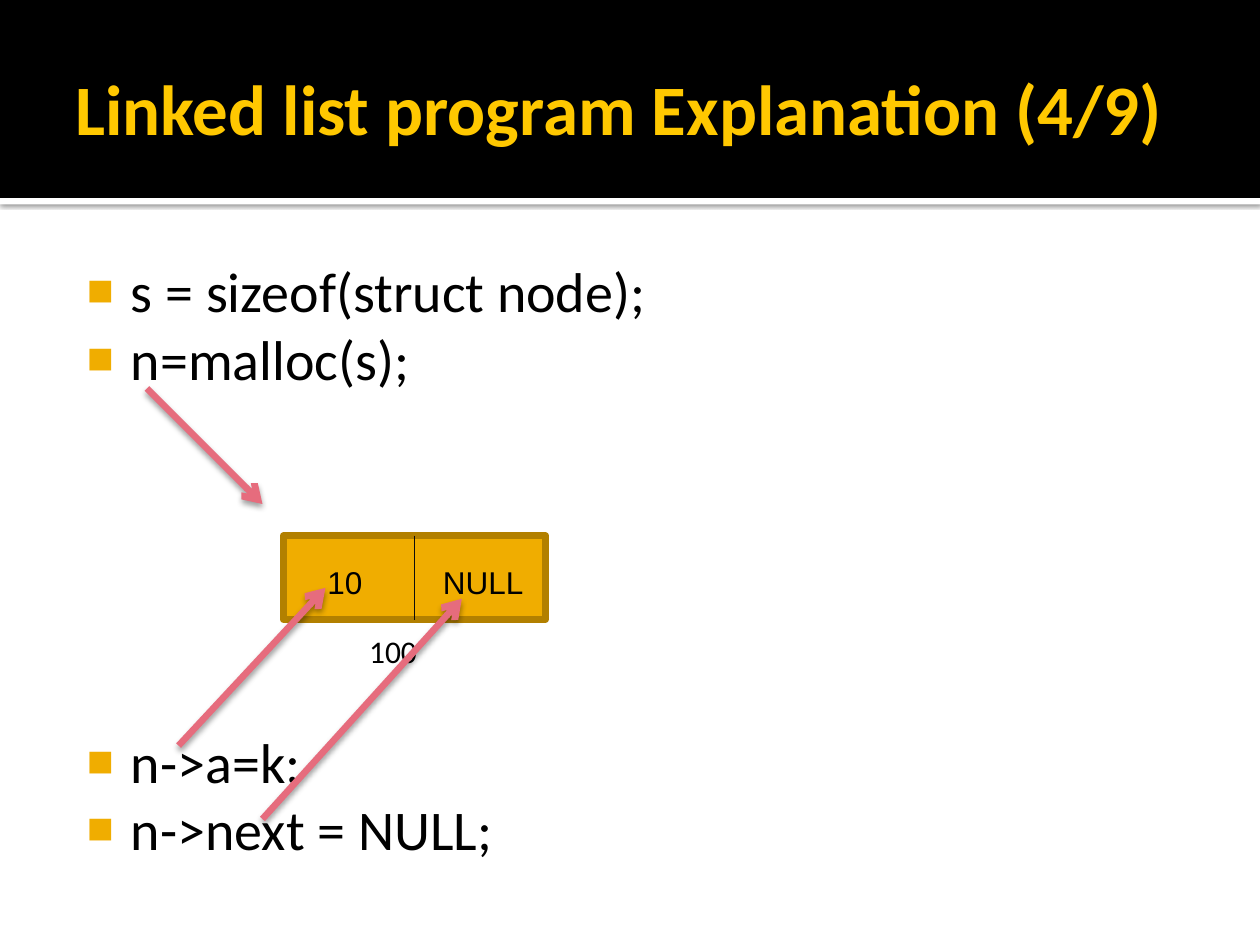
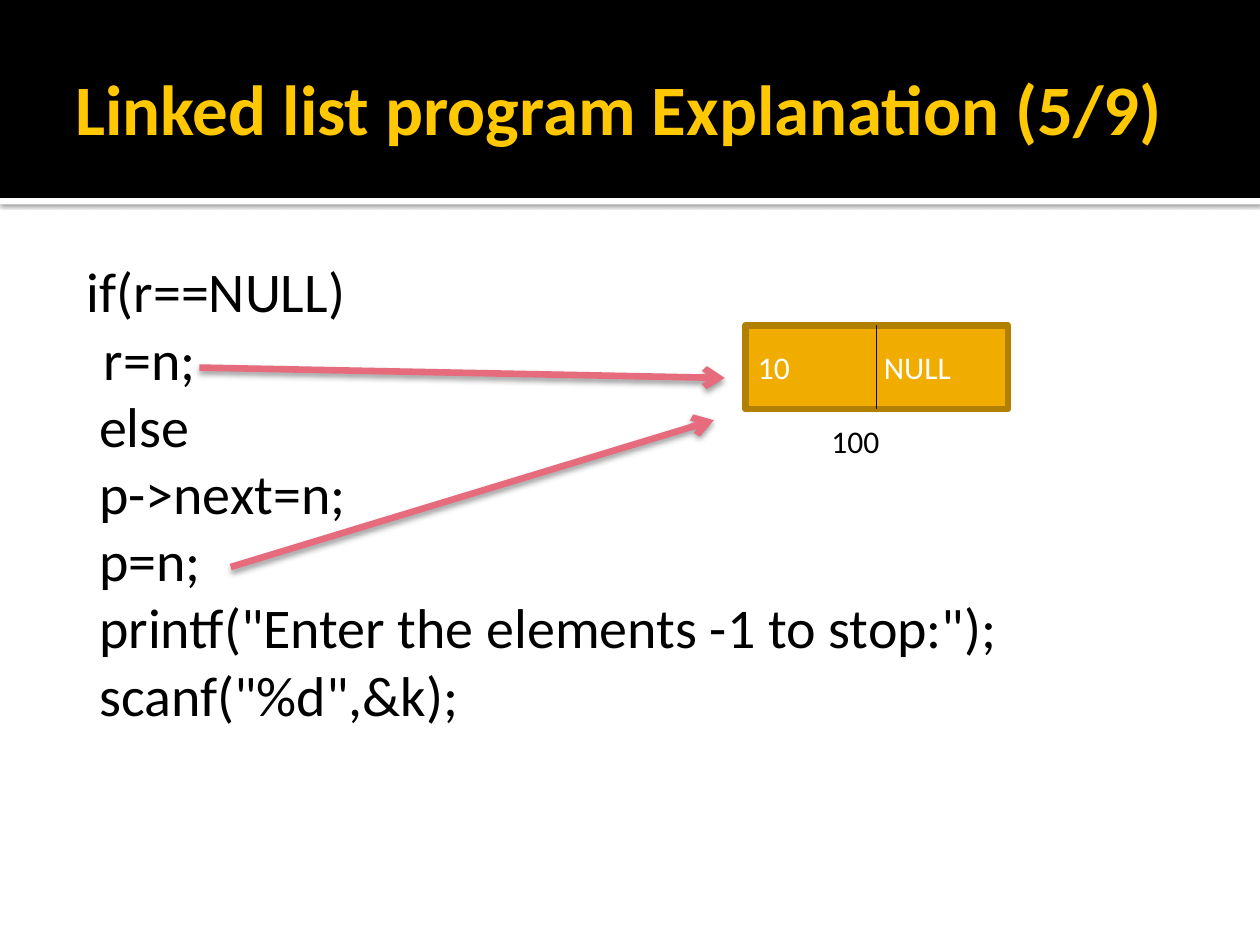
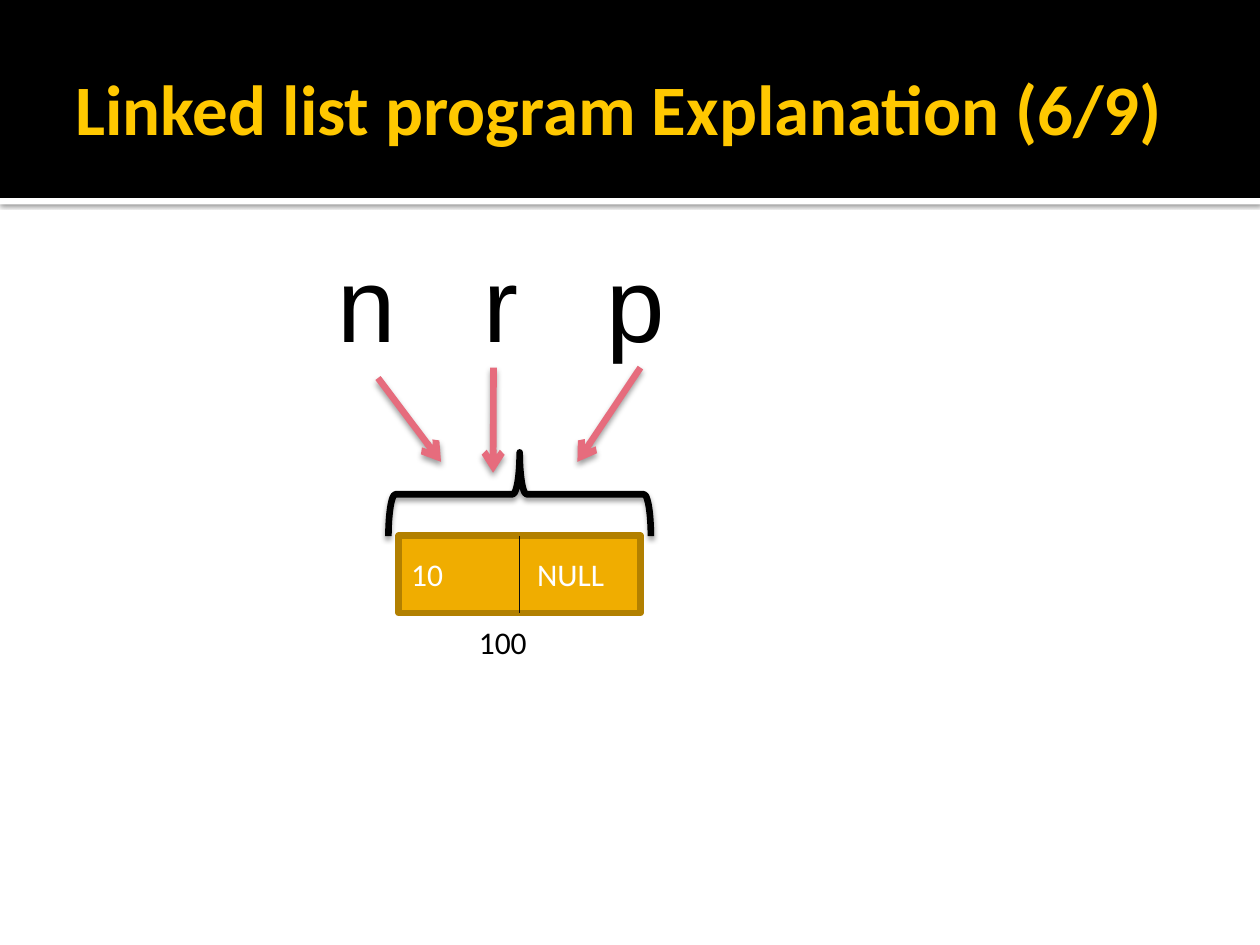
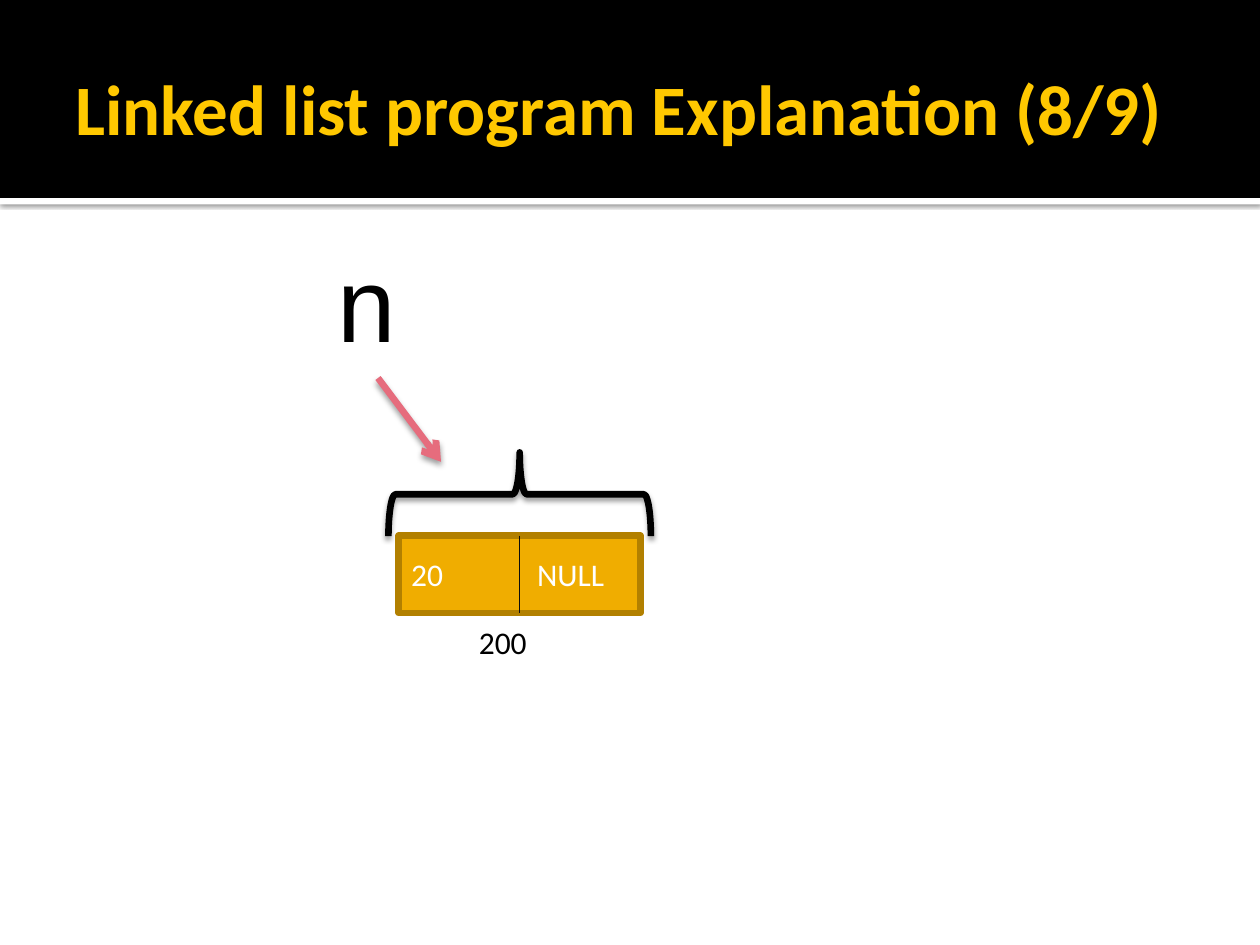
from lxml import etree
from pptx import Presentation
from pptx.dml.color import RGBColor
from pptx.enum import shapes, text
from pptx.oxml import ns
from pptx.util import Cm, Pt

# Shared colours, fonts and sizes
BLACK, WHITE, YELLOW = "000000", "FFFFFF", "FFC800"
GOLD, DARK_GOLD, PINK, DIVIDER = "F0AD00", "B28000", "E66C7D", "0D0D0D"
BODY_FONT, LETTER_FONT = "Calibri", "Arial"
LINE_W = 3.78
SLIDE_W, SLIDE_H, BAND_H = 25.4, 19.05, 3.99


def rgb(color):
    return RGBColor.from_string(color)


def sub(parent, tag, **attrs):
    return etree.SubElement(parent, ns.qn(tag), {k: str(v) for k, v in attrs.items()})


def set_shadow(sp, alpha=38, blur=3.5, dist=2):
    """Give a finished shape or connector a soft shadow that falls straight down."""
    sp_pr = sp.element.spPr
    for old in sp_pr.findall(ns.qn("a:effectLst")):
        sp_pr.remove(old)
    outer = sub(sub(sp_pr, "a:effectLst"), "a:outerShdw", blurRad=Pt(blur),
                dist=Pt(dist), dir=90 * 60000, algn="ctr", rotWithShape=0)
    sub(sub(outer, "a:srgbClr", val=BLACK), "a:alpha", val=alpha * 1000)


def set_tabs(p, *stops):
    tab_list = sub(p._p.get_or_add_pPr(), "a:tabLst")
    for pos in stops:
        sub(tab_list, "a:tab", pos=Cm(pos), algn="l")


def add_run(p, words, size, color=BLACK, font=BODY_FONT, bold=False):
    r = p.add_run()
    r.text = words
    r.font.size, r.font.name, r.font.bold = Pt(size), font, bold
    r.font.color.rgb = rgb(color)


def set_margins(tf, left, top, right, bottom):
    tf.margin_left, tf.margin_top = Cm(left), Cm(top)
    tf.margin_right, tf.margin_bottom = Cm(right), Cm(bottom)


def add_shape(parent, box, fill=None, line=None, kind=shapes.MSO_SHAPE.RECTANGLE):
    sp = parent.shapes.add_shape(kind, *map(Cm, box))
    sp.shadow.inherit = False
    if fill:
        sp.fill.solid()
        sp.fill.fore_color.rgb = rgb(fill)
    else:
        sp.fill.background()
    if line:
        sp.line.color.rgb, sp.line.width = rgb(line), Pt(LINE_W)
    else:
        sp.line.fill.background()
    return sp


def add_line(parent, start, end, color, width):
    cx = parent.shapes.add_connector(shapes.MSO_CONNECTOR.STRAIGHT, *map(Cm, start + end))
    cx.line.color.rgb, cx.line.width = rgb(color), Pt(width)
    return cx


def add_arrow(s, start, end):
    cx = add_line(s, start, end, PINK, LINE_W)
    sub(cx.line._get_or_add_ln(), "a:tailEnd", type="arrow")
    set_shadow(cx)


def add_text(s, box, words, size, tabs=()):
    """Text box in the letter font, with optional tab stops."""
    tf = s.shapes.add_textbox(*map(Cm, box)).text_frame
    tf.word_wrap = True
    tf.auto_size = text.MSO_AUTO_SIZE.SHAPE_TO_FIT_TEXT
    p = tf.paragraphs[0]
    if tabs:
        set_tabs(p, *tabs)
    add_run(p, words, size, font=LETTER_FONT)


def add_code(s, lines, bullets=False):
    """Code lines as (words, left indent, space before in points)."""
    tf = s.shapes.add_textbox(Cm(1.27), Cm(4.93), Cm(22.86), Cm(12.85)).text_frame
    tf.word_wrap = True
    set_margins(tf, 0.15, 0.25, 0.25, 0.13)
    for i, (words, indent, before) in enumerate(lines):
        p = tf.add_paragraph() if i else tf.paragraphs[0]
        p.space_before = Pt(before)
        p_pr = p._p.get_or_add_pPr()
        p_pr.set("marL", str(Cm(indent)))
        if bullets:
            p_pr.set("indent", str(Cm(-0.89)))
            sub(sub(p_pr, "a:buClr"), "a:srgbClr", val=GOLD)
            sub(p_pr, "a:buSzPct", val=80000)
            sub(p_pr, "a:buFont", typeface=LETTER_FONT)
            sub(p_pr, "a:buChar", char="■")
        add_run(p, words, 32)


def fill_box(sp, words, color):
    """Left-aligned words; a tab leads to the right half of a node."""
    tf = sp.text_frame
    tf.word_wrap = True
    tf.vertical_anchor = text.MSO_ANCHOR.MIDDLE
    p = tf.paragraphs[0]
    p.alignment = text.PP_ALIGN.LEFT
    if "\t" in words:
        set_tabs(p, 2.54)
    add_run(p, words, 18, color)


def add_node(s, x, y, w, h, address, words=None):
    """List node: box split in two halves, with its address underneath."""
    group = s.shapes.add_group_shape()
    cell = add_shape(group, (x, y, w, h), GOLD, DARK_GOLD)
    if words:
        fill_box(cell, words, WHITE)
    divider = add_line(group, (x + w / 2, y), (x + w / 2, y + h), DIVIDER, 0.5)
    divider.begin_connect(cell, 0)
    divider.end_connect(cell, 2)
    sub(divider.element.spPr, "a:effectLst")
    label = add_shape(group, (x + 0.28 * w, y + 1.125 * h, 0.4 * w, 0.5 * h), line=WHITE)
    fill_box(label, address, BLACK)


def add_brace(s):
    sp = add_shape(s, (9.63, 7.32, 1.69, 5.29), line=BLACK,
                   kind=shapes.MSO_SHAPE.LEFT_BRACE)
    sp.rotation = 90
    set_shadow(sp, blur=3.1)


def add_bands(s, layout):
    """Draw the header bands once and hand them to the layout, behind its title."""
    strip = add_shape(s, (0, BAND_H, SLIDE_W, 0.13), WHITE)
    set_shadow(strip, 60, 2.5, 0.8)
    band = add_shape(s, (0, 0, SLIDE_W, BAND_H), BLACK)
    for i, sp in enumerate((strip, band)):
        layout.shapes.element.insert(2 + i, sp.element)


def add_slide(prs, part):
    s = prs.slides.add_slide(prs.slide_layouts[5])
    title = s.shapes.title
    title.left, title.top, title.width, title.height = map(Cm, (1.27, 0.43, 22.86, 3.48))
    tf = title.text_frame
    set_margins(tf, 0.25, 0.13, 0.13, 0.13)
    tf.vertical_anchor = text.MSO_ANCHOR.MIDDLE
    p = tf.paragraphs[0]
    p.alignment = text.PP_ALIGN.LEFT
    add_run(p, f"Linked list program Explanation ({part}/9)", 40.5, YELLOW, bold=True)
    return s


def main():
    prs = Presentation()
    prs.slide_width, prs.slide_height = Cm(SLIDE_W), Cm(SLIDE_H)
    small_node = (8.04, 10.8, 4.87, 1.56)
    n_arrow = ((7.62, 7.62), (8.89, 9.31))

    # Part 4: allocate the node and fill its fields
    s = add_slide(prs, 4)
    add_bands(s, s.slide_layout)
    add_code(s, [("s = sizeof(struct node);", 1.22, 0), ("n=malloc(s);", 1.22, 0),
                 ("n->a=k;", 1.22, 192), ("n->next = NULL;", 1.22, 0)], bullets=True)
    add_node(s, 5.71, 10.8, 5.29, 1.69, "100")
    for start, end in (((2.96, 7.83), (5.29, 10.16)),
                       ((3.6, 15.03), (6.56, 11.85)),
                       ((5.29, 16.51), (9.31, 12.07))):
        add_arrow(s, start, end)
    add_text(s, (6.35, 11.22, 1.48, 1.02), "10", 18)
    add_text(s, (8.68, 11.22, 2.33, 1.02), "NULL", 18)

    # Part 5: link the node into the list
    s = add_slide(prs, 5)
    inner = ["else", "p->next=n;", "p=n;",
             'printf("Enter the elements -1 to stop:");', 'scanf("%d",&k);']
    add_code(s, [("if(r==NULL)", 0.33, 0), ("r=n;", 0.67, 0)]
             + [(words, 0.58, 0) for words in inner])
    add_node(s, 15.03, 6.56, 5.29, 1.69, "100", "10\tNULL")
    add_arrow(s, (4.02, 7.41), (14.61, 7.62))
    add_arrow(s, (4.65, 11.43), (14.39, 8.47))

    # Part 6: all three pointers at the first node
    s = add_slide(prs, 6)
    add_node(s, *small_node, "100", "10\tNULL")
    add_text(s, (6.56, 4.66, 8.05, 2.82), "n\tr\tp", 60, tabs=(2.94, 5.41))
    for start, end in (n_arrow, ((9.95, 7.41), (9.94, 9.53)),
                       ((12.91, 7.41), (11.64, 9.31))):
        add_arrow(s, start, end)
    add_brace(s)

    # Part 8: the second node
    s = add_slide(prs, 8)
    add_text(s, (6.56, 4.66, 1.7, 2.82), "n", 60)
    add_arrow(s, *n_arrow)
    add_brace(s)
    add_node(s, *small_node, "200", "20\tNULL")

    prs.save("out.pptx")


if __name__ == "__main__":
    main()
